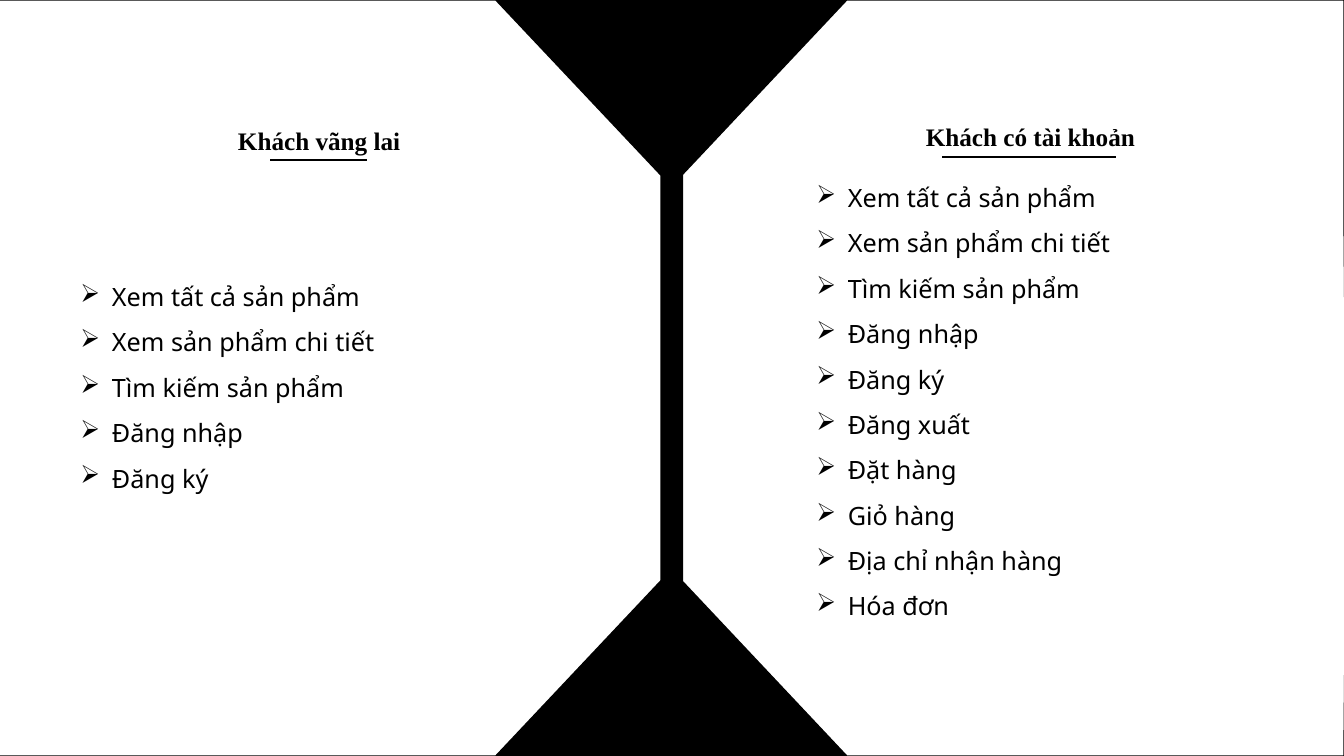
import pptx
import pptx.dml.color
import pptx.enum.shapes
import pptx.enum.text
import pptx.oxml.ns
import pptx.util
from lxml import etree

Pt = pptx.util.Pt
qn = pptx.oxml.ns.qn
ALIGN = pptx.enum.text.PP_ALIGN
BLACK = pptx.dml.color.RGBColor(0, 0, 0)
WHITE = pptx.dml.color.RGBColor(255, 255, 255)

SLIDE_W, SLIDE_H = 960, 540
INDENT = 22.5
GUEST_ACTIONS = [
    "Xem tất cả sản phẩm",
    "Xem sản phẩm chi tiết",
    "Tìm kiếm sản phẩm",
    "Đăng nhập",
    "Đăng ký",
]
MEMBER_ACTIONS = GUEST_ACTIONS + [
    "Đăng xuất",
    "Đặt hàng",
    "Giỏ hàng",
    "Địa chỉ nhận hàng",
    "Hóa đơn",
]
# Boxes are left, top, width, height; underlines are start x, end x, y
COLUMNS = [
    {
        "heading": "Khách có tài khoản",
        "heading_box": (625, 77, 217.5, 33.2),
        "align": ALIGN.CENTER,
        "underline": (673, 797, 112),
        "actions": MEMBER_ACTIONS,
        "actions_box": (576, 116, 334, 330),
    },
    {
        "heading": "Khách vãng lai",
        "heading_box": (158.4, 79.2, 153.4, 33.2),
        "align": ALIGN.JUSTIFY,
        "underline": (193, 262, 114.3),
        "actions": GUEST_ACTIONS,
        "actions_box": (50.4, 186.7, 407.5, 166),
    },
]
PANELS = [
    [(487.5, 124.6), (604.8, 0), (960, 0), (960, 148.3), (960.7, 234.7),
     (961.2, 406), (960, 540), (604.8, 540), (487.5, 415.4)],
    [(-2.2, 0), (354.2, 0), (472.3, 125.3), (472.3, 414.7),
     (354.2, 540), (-2.2, 540)],
]


def paint(sp, color):
    sp.shadow.inherit = False
    sp.fill.solid()
    sp.fill.fore_color.rgb = color
    sp.line.color.rgb = BLACK
    sp.line.width = Pt(1)


def add_panel(slide, points):
    # Freeform units are hundredths of a point
    points = [(round(x * 100), round(y * 100)) for x, y in points]
    builder = slide.shapes.build_freeform(*points[0], scale=Pt(1) / 100)
    builder.add_line_segments(points[1:], close=True)
    paint(builder.convert_to_shape(), WHITE)


def add_text_frame(slide, box):
    tf = slide.shapes.add_textbox(*map(Pt, box)).text_frame
    tf.word_wrap = True
    tf.auto_size = pptx.enum.text.MSO_AUTO_SIZE.SHAPE_TO_FIT_TEXT
    return tf


def add_run(p, text, font, bold=False):
    r = p.add_run()
    r.text = text
    r.font.name = font
    r.font.size = Pt(18)
    r.font.bold = bold
    r.font.color.rgb = BLACK


def add_actions(slide, box, actions):
    tf = add_text_frame(slide, box)
    for i, action in enumerate(actions):
        p = tf.add_paragraph() if i else tf.paragraphs[0]
        p.line_spacing = 1.5
        pPr = p._p.get_or_add_pPr()
        pPr.set("marL", str(Pt(INDENT)))
        pPr.set("indent", str(-Pt(INDENT)))
        etree.SubElement(pPr, qn("a:buChar")).set("char", "➢")
        add_run(p, action, "Noto Sans")


def add_heading(slide, box, text, align):
    p = add_text_frame(slide, box).paragraphs[0]
    p.alignment = align
    p.line_spacing = 1.3
    p.space_before = p.space_after = Pt(6)
    p._p.get_or_add_pPr().set("marL", str(Pt(4.5)))
    add_run(p, text, "Times New Roman", bold=True)


def add_underline(slide, x1, x2, y):
    line = slide.shapes.add_connector(
        pptx.enum.shapes.MSO_CONNECTOR.STRAIGHT, Pt(x1), Pt(y), Pt(x2), Pt(y))
    line.line.color.rgb = BLACK
    line.line.width = Pt(1.5)
    etree.SubElement(line._element.spPr, qn("a:effectLst"))


def main():
    prs = pptx.Presentation()
    prs.slide_width, prs.slide_height = Pt(SLIDE_W), Pt(SLIDE_H)
    slide = prs.slides.add_slide(prs.slide_layouts[6])

    backdrop = slide.shapes.add_shape(
        pptx.enum.shapes.MSO_SHAPE.OCTAGON,
        Pt(-2.2), Pt(0), Pt(962.6), Pt(SLIDE_H))
    paint(backdrop, BLACK)
    for points in PANELS:
        add_panel(slide, points)

    for column in COLUMNS:
        add_actions(slide, column["actions_box"], column["actions"])
        add_heading(slide, column["heading_box"], column["heading"],
                    column["align"])
        add_underline(slide, *column["underline"])

    prs.save("out.pptx")


if __name__ == "__main__":
    main()
